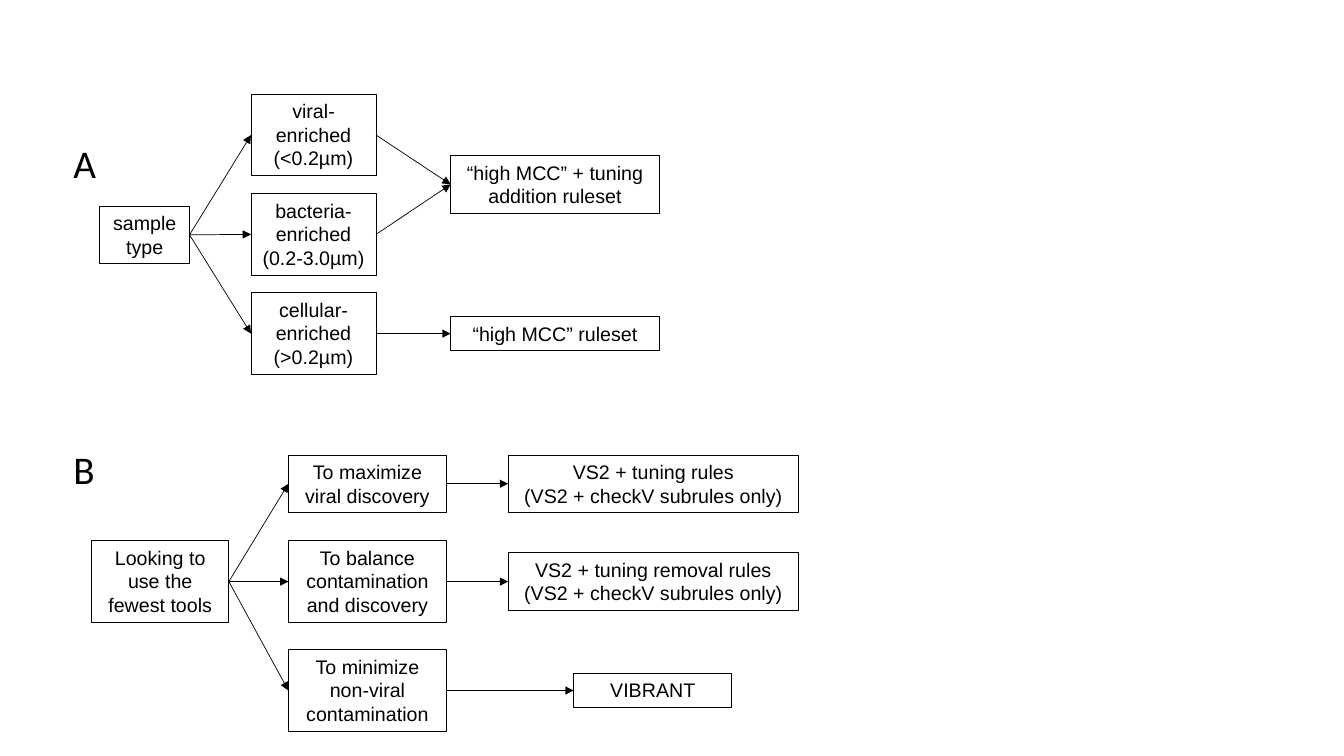
from lxml import etree
from pptx import Presentation
from pptx.dml.color import RGBColor
from pptx.enum.shapes import MSO_CONNECTOR as CONN, MSO_SHAPE as SHAPE
from pptx.enum.text import MSO_ANCHOR as ANCHOR, MSO_AUTO_SIZE as AUTO, PP_ALIGN as ALIGN
from pptx.oxml.ns import qn
from pptx.util import Inches, Pt

COLORS = {"ink": "000000"}
RIGHT, LEFT = 3, 1
LINE_HEIGHTS = {1: 0.34, 2: 0.57, 3: 0.81}


def ink():
    return RGBColor.from_string(COLORS["ink"])


def add_run(p, text, font, size):
    r = p.add_run()
    r.text = text
    r.font.name = font
    r.font.size = Pt(size)
    r.font.color.rgb = ink()


def add_box(slide, left, middle, width, lines, *paragraphs):
    height = LINE_HEIGHTS[lines]
    sp = slide.shapes.add_shape(SHAPE.RECTANGLE, Inches(left), Inches(middle - height / 2),
                                Inches(width), Inches(height))
    sp.shadow.inherit = False
    sp.fill.background()
    sp.line.color.rgb = ink()
    sp.line.width = Pt(0.75)
    tf = sp.text_frame
    tf.word_wrap = True
    tf.auto_size = AUTO.SHAPE_TO_FIT_TEXT
    tf.vertical_anchor = ANCHOR.TOP
    for i, text in enumerate(paragraphs):
        p = tf.add_paragraph() if i else tf.paragraphs[0]
        p.alignment = ALIGN.CENTER
        add_run(p, text, "Arial", 14)
    return sp


def add_arrow(slide, source, target):
    cx = slide.shapes.add_connector(CONN.STRAIGHT, 0, 0, 0, 0)
    cx.begin_connect(source, RIGHT)
    cx.end_connect(target, LEFT)
    cx.line.color.rgb = ink()
    cx.line.width = Pt(0.5)
    ln = cx.line._get_or_add_ln()
    etree.SubElement(ln, qn("a:tailEnd"), type="triangle")
    etree.SubElement(cx._element.spPr, qn("a:effectLst"))


def add_panel_letter(slide, top, letter):
    sp = slide.shapes.add_textbox(Inches(0.63), Inches(top), Inches(0.43), Inches(0.57))
    tf = sp.text_frame
    tf.word_wrap = False
    tf.auto_size = AUTO.SHAPE_TO_FIT_TEXT
    add_run(tf.paragraphs[0], letter, "Calibri", 28)


def add_sample_panel(slide):
    add_panel_letter(slide, 1.33, "A")
    sample = add_box(slide, 0.99, 2.33, 0.89, 2, "sample type")
    fractions = [("viral-enriched", "(<0.2µm)"),
                 ("bacteria-enriched", "(0.2-3.0µm)"),
                 ("cellular-enriched", "(>0.2µm)")]
    enriched = [add_box(slide, 2.49, 1.34 + 0.985 * i, 1.24, 3, *texts)
                for i, texts in enumerate(fractions)]
    tuned = add_box(slide, 4.47, 1.83, 2.07, 2, "“high MCC” + tuning addition ruleset")
    plain = add_box(slide, 4.47, 3.31, 2.07, 1, "“high MCC” ruleset")
    for fraction, ruleset in zip(enriched, (tuned, tuned, plain)):
        add_arrow(slide, sample, fraction)
        add_arrow(slide, fraction, ruleset)


def add_tools_panel(slide):
    add_panel_letter(slide, 4.37, "B")
    start = add_box(slide, 0.91, 5.77, 1.36, 3, "Looking to use the fewest tools")
    subrules = "(VS2 + checkV subrules only)"
    branches = [
        (4.8, 2, "To maximize viral discovery",
         (5.04, 2.88, 2, ("VS2 + tuning rules", subrules))),
        (5.77, 3, "To balance contamination and discovery",
         (5.04, 2.88, 2, ("VS2 + tuning removal rules", subrules))),
        (6.85, 3, "To minimize non-viral contamination",
         (5.69, 1.57, 1, ("VIBRANT",))),
    ]
    for middle, goal_lines, text, (left, width, lines, advice) in branches:
        goal = add_box(slide, 2.86, middle, 1.57, goal_lines, text)
        tool = add_box(slide, left, middle, width, lines, *advice)
        add_arrow(slide, start, goal)
        add_arrow(slide, goal, tool)


def main():
    prs = Presentation()
    prs.slide_width = Inches(13.33)
    prs.slide_height = Inches(7.5)
    slide = prs.slides.add_slide(prs.slide_layouts[6])
    add_sample_panel(slide)
    add_tools_panel(slide)
    prs.save("out.pptx")


if __name__ == "__main__":
    main()
